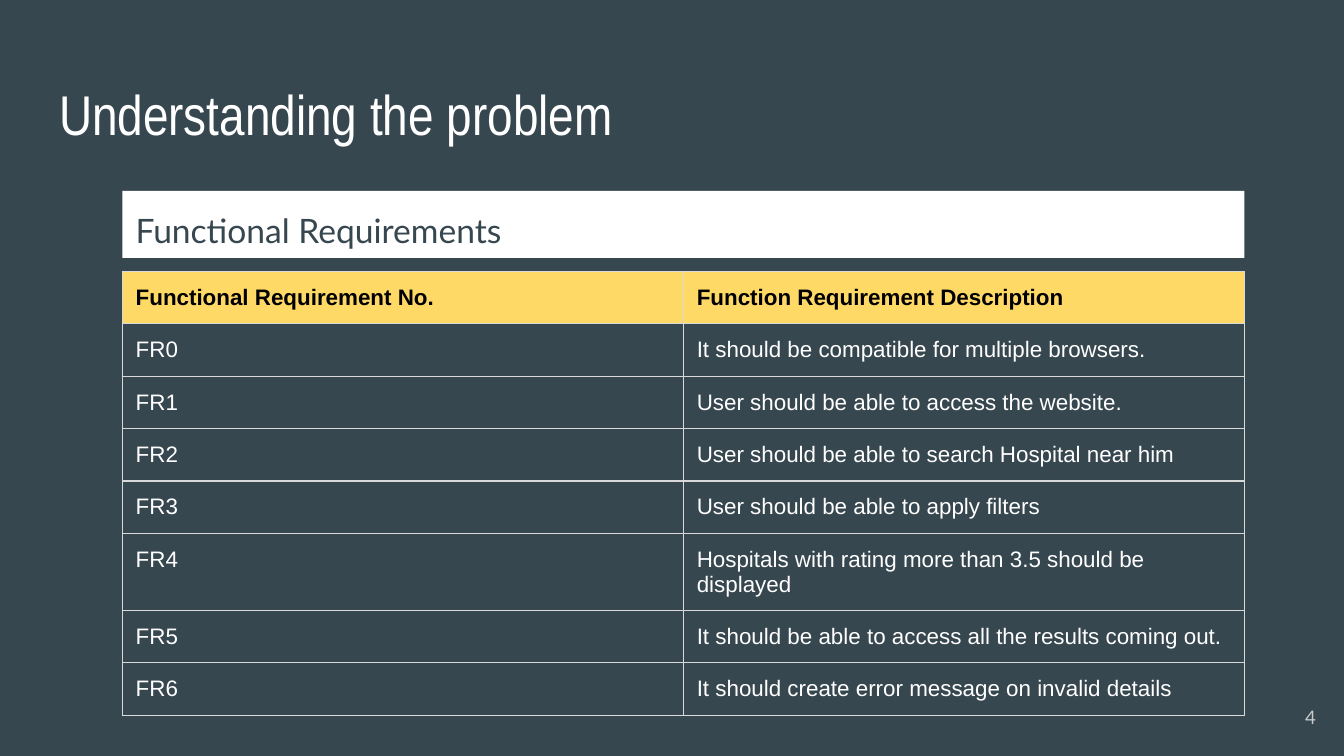
from lxml import etree
from pptx import Presentation
from pptx.dml.color import RGBColor
from pptx.enum.shapes import MSO_SHAPE
from pptx.enum.text import MSO_ANCHOR, MSO_AUTO_SIZE, PP_ALIGN
from pptx.oxml.ns import qn
from pptx.util import Inches, Pt

RECTANGLE = MSO_SHAPE.RECTANGLE
TOP, MIDDLE = MSO_ANCHOR.TOP, MSO_ANCHOR.MIDDLE
LEFT, RIGHT = PP_ALIGN.LEFT, PP_ALIGN.RIGHT
NO_AUTOFIT = MSO_AUTO_SIZE.NONE
TITLE_ONLY = 5

SLATE = RGBColor(0x37, 0x47, 0x4F)
WHITE = RGBColor(0xFF, 0xFF, 0xFF)
BLACK = RGBColor(0x00, 0x00, 0x00)
YELLOW = RGBColor(0xFF, 0xD9, 0x66)
LIGHT_GREY = RGBColor(0xD9, 0xD9, 0xD9)
PAGE_GREY = RGBColor(0xCA, 0xCA, 0xCA)

WIDTH = 10
HEIGHT = WIDTH * 9 / 16
CONTENT_LEFT, CONTENT_WIDTH = 0.91, 8.35
ROW_HEIGHT = 0.39
PADDING = Inches(0.1)

HEADINGS = ("Functional Requirement No.", "Function Requirement Description")
REQUIREMENTS = (
    "It should be compatible for multiple browsers.",
    "User should be able to access the website.",
    "User should be able to search Hospital near him",
    "User should be able to apply filters",
    "Hospitals with rating more than 3.5 should be displayed",
    "It should be able to access all the results coming out.",
    "It should create error message on invalid details",
)


def write_text(frame, text, *, size, font, color, bold=False, align=LEFT, spacing=1.0):
    para = frame.paragraphs[0]
    para.alignment = align
    para.line_spacing = spacing
    para.space_before = Pt(0)
    span = para.add_run()
    span.text = text
    span.font.size = Pt(size)
    span.font.name = font
    span.font.bold = bold
    span.font.color.rgb = color


def set_frame(frame, anchor=TOP):
    frame.word_wrap = True
    frame.auto_size = NO_AUTOFIT
    frame.vertical_anchor = anchor
    frame.margin_left = frame.margin_right = PADDING
    frame.margin_top = frame.margin_bottom = PADDING


def set_borders(cell, color, width):
    properties = cell._tc.get_or_add_tcPr()
    for position, side in enumerate(("lnL", "lnR", "lnT", "lnB")):
        line = etree.Element(qn(f"a:{side}"), w=str(Pt(width)))
        fill = etree.SubElement(line, qn("a:solidFill"))
        etree.SubElement(fill, qn("a:srgbClr"), val=str(color))
        properties.insert(position, line)


def add_title(page, box, text):
    title = page.shapes.title
    title.left, title.top, title.width, title.height = map(Inches, box)
    set_frame(title.text_frame)
    write_text(title.text_frame, text, size=30, font="Arial Narrow", color=WHITE)


def add_banner(page, box, text):
    banner = page.shapes.add_shape(RECTANGLE, *map(Inches, box))
    banner.shadow.inherit = False
    banner.fill.solid()
    banner.fill.fore_color.rgb = WHITE
    banner.line.fill.background()
    set_frame(banner.text_frame)
    write_text(banner.text_frame, text, size=18, font="Lato", color=SLATE, spacing=1.15)


def add_requirements(page, box, rows):
    table = page.shapes.add_table(len(rows), len(HEADINGS), *map(Inches, box)).table
    table.first_row = table.horz_banding = False
    for row in table.rows:
        row.height = Inches(ROW_HEIGHT)
    for row_number, texts in enumerate(rows):
        heading = row_number == 0
        for column, text in enumerate(texts):
            cell = table.cell(row_number, column)
            cell.margin_left = cell.margin_right = PADDING
            cell.margin_top = cell.margin_bottom = PADDING
            if heading:
                cell.fill.solid()
                cell.fill.fore_color.rgb = YELLOW
            else:
                cell.fill.background()
            set_borders(cell, LIGHT_GREY, 0.75)
            write_text(cell.text_frame, text, size=12, font="Arial",
                       color=BLACK if heading else WHITE, bold=heading)


def add_page_number(page, box, number):
    holder = page.shapes.add_textbox(*map(Inches, box))
    set_frame(holder.text_frame, MIDDLE)
    write_text(holder.text_frame, str(number), size=10, font="Lato",
               color=PAGE_GREY, align=RIGHT)


def main():
    deck = Presentation()
    deck.slide_width, deck.slide_height = Inches(WIDTH), Inches(HEIGHT)
    page = deck.slides.add_slide(deck.slide_layouts[TITLE_ONLY])
    page.background.fill.solid()
    page.background.fill.fore_color.rgb = SLATE

    # Heading and section banner
    add_title(page, (0.34, 0.49, WIDTH - 2 * 0.34, 0.63), "Understanding the problem")
    add_banner(page, (CONTENT_LEFT, 1.42, CONTENT_WIDTH, 0.5), "Functional Requirements")

    # Numbered requirements
    rows = [HEADINGS] + [(f"FR{number}", text) for number, text in enumerate(REQUIREMENTS)]
    add_requirements(page, (CONTENT_LEFT, 2.02, CONTENT_WIDTH, ROW_HEIGHT * len(rows)), rows)

    # Footer
    add_page_number(page, (9.29, 5.12, 0.6, 0.43), 4)
    deck.save("out.pptx")


if __name__ == "__main__":
    main()
